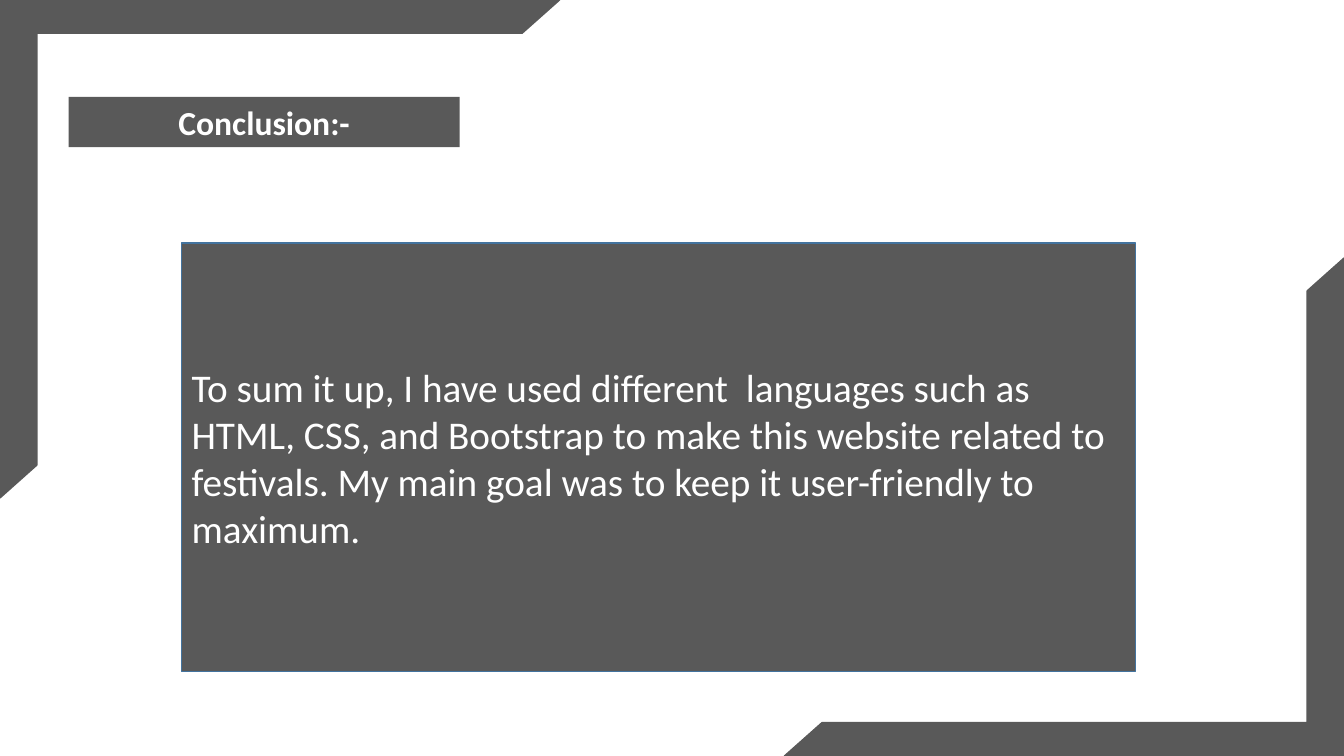
from pptx import Presentation
from pptx.dml.color import RGBColor
from pptx.enum.shapes import MSO_SHAPE
from pptx.enum.text import MSO_ANCHOR, MSO_AUTO_SIZE, PP_ALIGN
from pptx.oxml.ns import qn
from pptx.util import Inches, Pt

HALF = MSO_SHAPE.HALF_FRAME
LEFT, CENTER = PP_ALIGN.LEFT, PP_ALIGN.CENTER
MIDDLE = MSO_ANCHOR.MIDDLE
FIXED = MSO_AUTO_SIZE.NONE

TITLE = "Conclusion:-"
BODY = ("To sum it up, I have used different  languages such as HTML, CSS, "
        "and Bootstrap to make this website related to festivals. "
        "My main goal was to keep it user-friendly to maximum. ")
FONT = "Calibri"
COLORS = {"gray": "595959", "blue": "43739E", "white": "FFFFFF"}

WIDE, HIGH = 13.33, 7.5
ARM_W, ARM_H = 5.55, 4.94
CORNERS = [(0, 0, 0), (WIDE - ARM_W, HIGH - ARM_H, 180)]
THICK = (0.067, 0.074)
TITLE_BOX = (0.68, 0.96, 3.88, 0.5)
BODY_BOX = (1.8, 2.41, 9.46, 4.25)


def color(name):
    """Return the named colour."""
    return RGBColor.from_string(COLORS[name])


def paint(shape, line=None):
    """Fill a shape gray and outline it if a line colour is named."""
    shape.fill.solid()
    shape.fill.fore_color.rgb = color("gray")
    if line:
        shape.line.color.rgb = color(line)
        shape.line.width = Pt(1)
    else:
        shape.line.fill.background()


def place(shape, box):
    """Move and size a shape to a box in inches."""
    shape.left, shape.top, shape.width, shape.height = map(Inches, box)


def write(shape, text, size=28, bold=False, align=LEFT):
    """Put one plain paragraph, without bullet, in a shape."""
    frame = shape.text_frame
    frame.text = text
    frame.word_wrap = True
    frame.auto_size = FIXED
    frame.vertical_anchor = MIDDLE
    para = frame.paragraphs[0]
    para.alignment = align
    para.space_before = Pt(0)
    props = para._p.get_or_add_pPr()
    props.set("marL", "0")
    props.set("indent", "0")
    props.append(props.makeelement(qn("a:buNone"), {}))
    font = para.runs[0].font
    font.name, font.size, font.bold = FONT, Pt(size), bold
    font.color.rgb = color("white")


def corner(slide, left, top, turn):
    """Add one half frame at a slide corner."""
    box = map(Inches, (left, top, ARM_W, ARM_H))
    shape = slide.shapes.add_shape(HALF, *box)
    shape.adjustments[0], shape.adjustments[1] = THICK
    shape.rotation = turn
    shape.shadow.inherit = False
    paint(shape, line="gray")


deck = Presentation()
deck.slide_width, deck.slide_height = Inches(WIDE), Inches(HIGH)
slide = deck.slides.add_slide(deck.slide_layouts[1])

for spot in CORNERS:
    corner(slide, *spot)

title, body = slide.shapes.title, slide.placeholders[1]
place(title, TITLE_BOX)
paint(title)
write(title, TITLE, size=24, bold=True, align=CENTER)
place(body, BODY_BOX)
paint(body, line="blue")
write(body, BODY)

deck.save("out.pptx")
